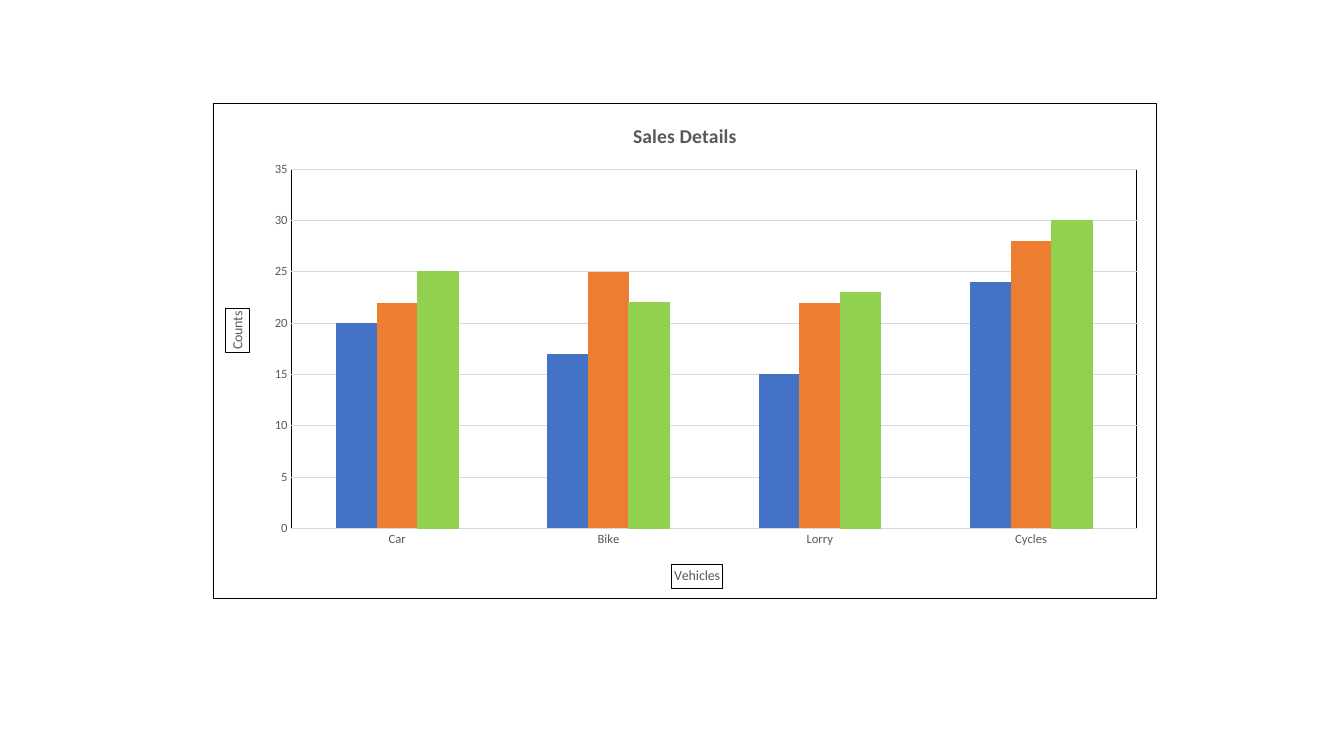
from lxml.etree import SubElement
from pptx import Presentation
from pptx.chart.data import CategoryChartData as Data
from pptx.dml.color import RGBColor as Rgb
from pptx.enum.chart import XL_CHART_TYPE as Kind, XL_TICK_MARK as Tick
from pptx.oxml import parse_xml
from pptx.oxml.ns import nsdecls, qn
from pptx.util import Cm, Pt

HUES = {"black": "000000", "text": "595959", "grid": "D9D9D9",
        "blue": "4472C4", "orange": "ED7D31", "green": "92D050"}
FONT = "Calibri"
FRAME = (f'<c:spPr {nsdecls("c", "a")}><a:noFill/><a:ln w="9525"><a:solidFill>'
         f'<a:srgbClr val="{HUES["black"]}"/></a:solidFill></a:ln></c:spPr>')


def place(host, **spots):
    layout = host.find(qn("c:layout"))
    if layout is None:
        layout = parse_xml(f'<c:layout {nsdecls("c")}/>')
        host.insert(0, layout)
    manual = SubElement(layout, qn("c:manualLayout"))
    if "w" in spots:
        SubElement(manual, qn("c:layoutTarget"), val="inner")
    for mode in ("xMode", "yMode"):
        SubElement(manual, qn("c:" + mode), val="edge")
    for name, spot in spots.items():
        SubElement(manual, qn("c:" + name), val=str(spot))


def label(title, text, size, bold):
    run = title.text_frame.paragraphs[0].add_run()
    run.text = text
    run.font.name = FONT
    run.font.size = Pt(size)
    run.font.bold = bold
    run.font.color.rgb = Rgb.from_string(HUES["text"])


deck = Presentation()
deck.slide_width, deck.slide_height = Cm(33.87), Cm(19.05)
slide = deck.slides.add_slide(deck.slide_layouts[6])

data = Data()
data.categories = ["Car", "Bike", "Lorry", "Cycles"]
data.add_series("Series 1", [20, 17, 15, 24])
data.add_series("Series 2", [22, 25, 22, 28])
data.add_series("Series 3", [25, 22, 23, 30])
chart = slide.shapes.add_chart(Kind.COLUMN_CLUSTERED, Cm(5.36), Cm(2.59),
                               Cm(23.8), Cm(12.5), data).chart
chart.has_legend = False
chart.font.name = FONT
chart.font.size = Pt(10)
chart.font.color.rgb = Rgb.from_string(HUES["black"])
chart.has_title = True
label(chart.chart_title, "Sales Details", 14, True)

plot = chart.plots[0]
plot.gap_width = 219
plot.overlap = 0
plot.vary_by_categories = False
for bars, hue in zip(plot.series, ("blue", "orange", "green")):
    bars.format.fill.solid()
    bars.format.fill.fore_color.rgb = Rgb.from_string(HUES[hue])
edge = plot.series[2].format.line
edge.color.rgb = Rgb.from_string(HUES["green"])
edge.width = Pt(0.75)

cats, vals = chart.category_axis, chart.value_axis
for axis, text, x, y in ((cats, "Vehicles", 0.486, 0.931),
                         (vals, "Counts", 0.013, 0.415)):
    axis.major_tick_mark = axis.minor_tick_mark = Tick.NONE
    font = axis.tick_labels.font
    font.name = FONT
    font.size = Pt(9)
    font.color.rgb = Rgb.from_string(HUES["text"])
    axis.has_title = True
    title = axis.axis_title
    label(title, text, 10, False)
    title.format.line.color.rgb = Rgb.from_string(HUES["black"])
    title.format.line.width = Pt(0.75)
    place(axis._element.find(qn("c:title")), x=x, y=y)
vals.axis_title.text_frame._txBody.bodyPr.set("rot", "-5400000")
vals.axis_title.text_frame._txBody.bodyPr.set("vert", "horz")

vals.minimum_scale, vals.maximum_scale, vals.major_unit = 0, 35, 5
vals.format.line.fill.background()
vals.has_major_gridlines = True
for line in (cats.format.line, vals.major_gridlines.format.line):
    line.color.rgb = Rgb.from_string(HUES["grid"])
    line.width = Pt(0.75)

body = chart._chartSpace.find(qn("c:chart"))
area = body.find(qn("c:plotArea"))
place(area, x=0.083, y=0.133, w=0.896, h=0.726)
area.append(parse_xml(FRAME))
body.addnext(parse_xml(FRAME))

deck.save("out.pptx")
